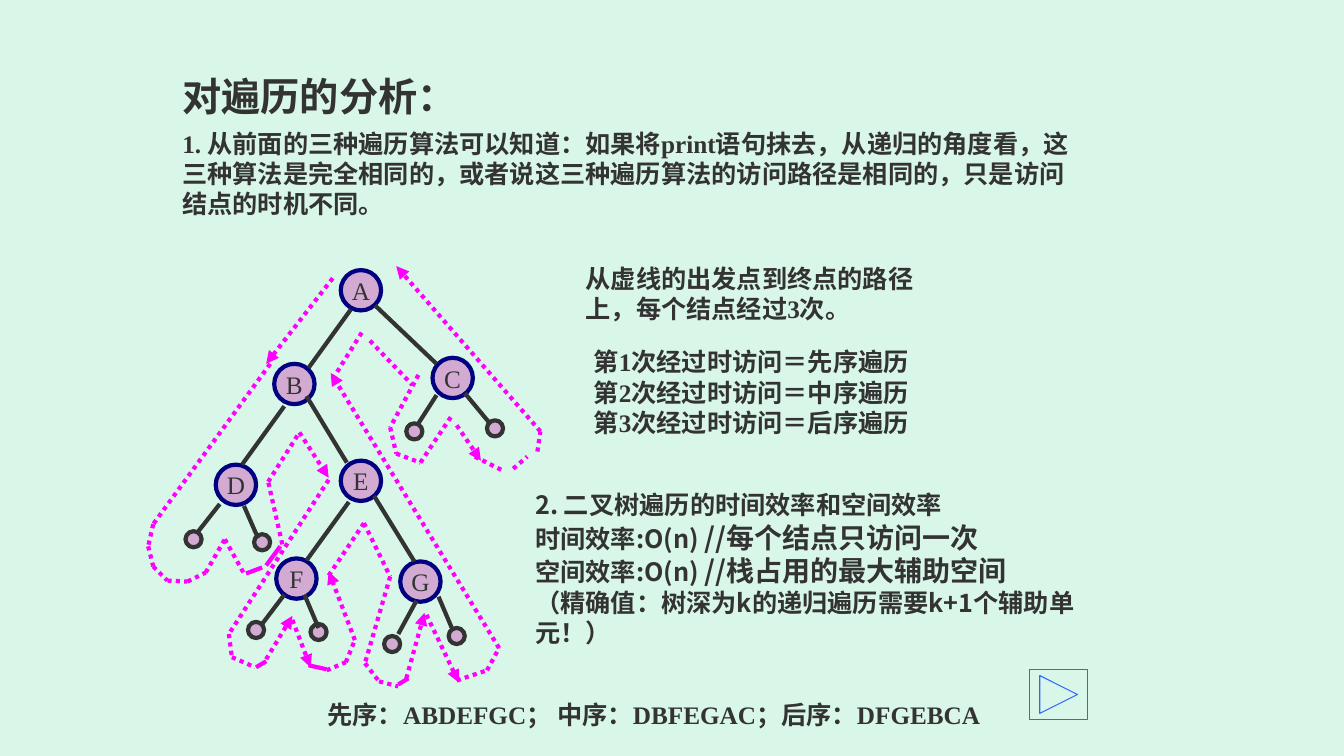
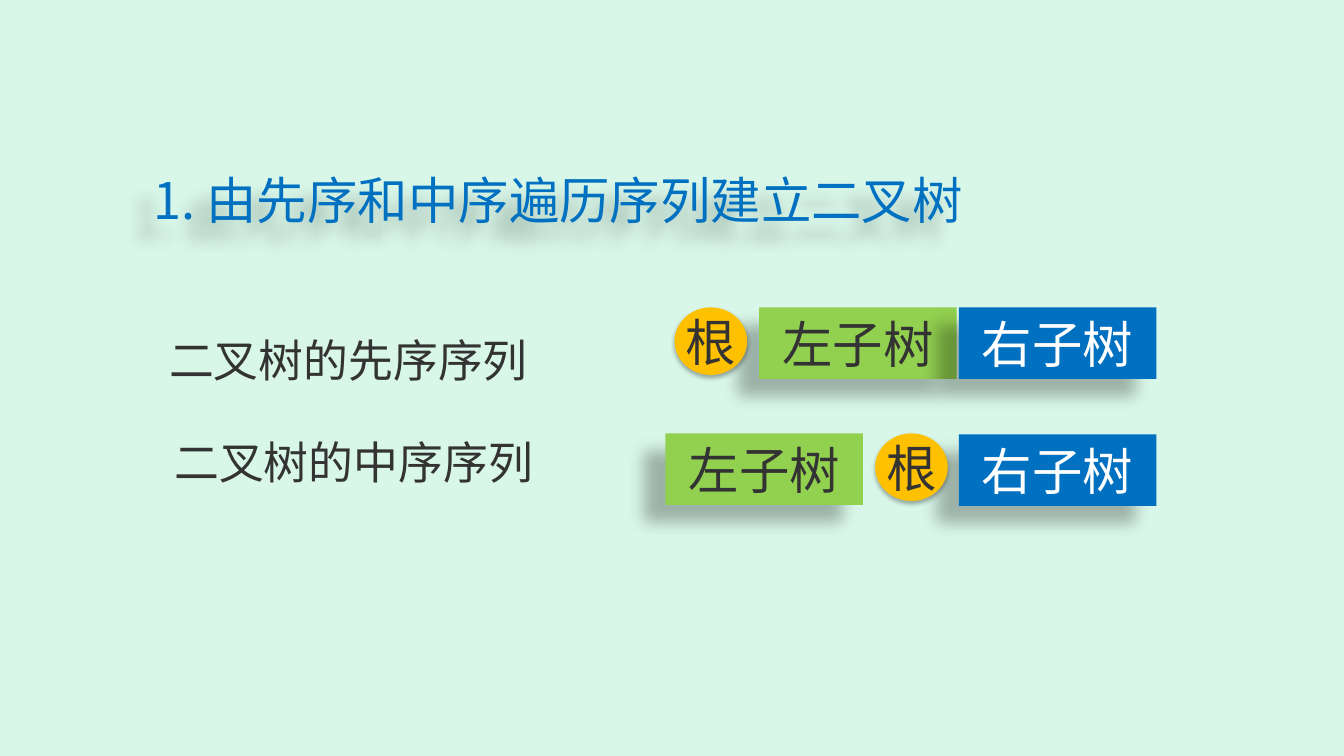
from dataclasses import dataclass
from itertools import pairwise

from lxml.etree import SubElement
from pptx import Presentation
from pptx.dml.color import RGBColor as RGB
from pptx.enum.dml import MSO_LINE
from pptx.enum.shapes import MSO_CONNECTOR, MSO_SHAPE
from pptx.enum.text import MSO_ANCHOR as ANCHOR, MSO_AUTO_SIZE, PP_ALIGN as ALIGN
from pptx.oxml.ns import qn
from pptx.util import Inches, Pt


@dataclass(frozen=True)
class Theme:
    background: RGB = RGB.from_string("D9F7E9")
    ink: RGB = RGB.from_string("333333")
    white: RGB = RGB.from_string("FFFFFF")
    blue: RGB = RGB.from_string("0070C0")
    green: RGB = RGB.from_string("92D050")
    amber: RGB = RGB.from_string("FFC000")
    node: RGB = RGB.from_string("D2AAD2")
    navy: RGB = RGB.from_string("000080")
    tour: RGB = RGB.from_string("FF00FF")
    button: RGB = RGB.from_string("3366FF")
    serif: str = "Times New Roman"
    sans: str = "Noto Sans CJK SC"
    body: int = 18
    emphasis: int = 20
    title: int = 28
    label: int = 32
    heading: int = 36


T = Theme()
# Blur and distance in points, direction in degrees, opacity in percent
LONG_SHADOW = (11.8, 19.7, 141, 28)
SHORT_SHADOW = (3.5, 2.2, 90, 32)


def write_text(sp, paragraphs, *, size=T.body, font=T.serif, color=T.ink, bold=False,
               align=ALIGN.LEFT, anchor=ANCHOR.TOP, wrap=True, inset=None, leading=1.2):
    """Fill a shape; a paragraph is a string or a list of (text, size) runs."""
    tf = sp.text_frame
    tf.auto_size, tf.word_wrap, tf.vertical_anchor = MSO_AUTO_SIZE.NONE, wrap, anchor
    if inset is not None:
        tf.margin_left = tf.margin_right = tf.margin_top = tf.margin_bottom = Inches(inset)
    for i, runs in enumerate(paragraphs):
        p = tf.add_paragraph() if i else tf.paragraphs[0]
        if isinstance(runs, str):
            runs = [(runs, size)]
        p.alignment, p.space_before = align, Pt(0)
        p.line_spacing = Pt(round(leading * max(s for _, s in runs), 1))
        for text, run_size in runs:
            r = p.add_run()
            r.text = text
            r.font.size, r.font.name, r.font.bold = Pt(run_size), font, bold
            r.font.color.rgb = color
            SubElement(r.font._element, qn("a:ea"), typeface=T.sans)


def set_shadow(sp, shadow=None):
    """Replace the theme's effects by one black shadow, or by none."""
    effects = SubElement(sp.element.spPr, qn("a:effectLst"))
    if shadow:
        blur, distance, angle, opacity = shadow
        outer = SubElement(effects, qn("a:outerShdw"), blurRad=str(Pt(blur)),
                           dist=str(Pt(distance)), dir=str(angle * 60000),
                           algn="ctr", rotWithShape="0")
        black = SubElement(outer, qn("a:srgbClr"), val="000000")
        SubElement(black, qn("a:alpha"), val=str(opacity * 1000))


prs = Presentation()
prs.slide_width, prs.slide_height = Inches(13.33), Inches(7.5)
fill = prs.slide_master.background.fill
fill.solid()
fill.fore_color.rgb = T.background

# Slide 1: analysis of the traversals
s = prs.slides.add_slide(prs.slide_layouts[5])
title = s.shapes.title
title.left, title.top, title.width, title.height = map(Inches, (1.71, 0.56, 8.5, 0.67))
write_text(title, ["对遍历的分析："], size=T.title, bold=True, anchor=ANCHOR.BOTTOM)

notes = [
    ((1.71, 1.22, 9.17, 1.01), T.serif, True, [
        "1. 从前面的三种遍历算法可以知道：如果将print语句抹去，从递归的角度看，"
        "这三种算法是完全相同的，或者说这三种遍历算法的访问路径是相同的，"
        "只是访问结点的时机不同。"]),
    ((5.71, 2.56, 3.51, 0.71), T.serif, False, [
        "从虚线的出发点到终点的路径", "上，每个结点经过3次。"]),
    ((5.79, 3.39, 4.67, 1.01), T.serif, True, [
        "第1次经过时访问＝先序遍历", "第2次经过时访问＝中序遍历",
        "第3次经过时访问＝后序遍历"]),
    ((5.21, 4.81, 5.92, 1.68), T.sans, True, [
        "2. 二叉树遍历的时间效率和空间效率",
        [("时间效率:O(n) ", T.body), ("//每个结点只访问一次", T.emphasis)],
        [("空间效率:O(n) ", T.body), ("//栈占用的最大辅助空间", T.emphasis)],
        "（精确值：树深为k的递归遍历需要k+1个辅助单元！）"]),
    ((3.15, 6.89, 9.17, 0.4), T.serif, True, [
        "先序：ABDEFGC； 中序：DBFEGAC；后序：DFGEBCA"]),
]
for box, font, wrap, paragraphs in notes:
    write_text(s.shapes.add_textbox(*map(Inches, box)), paragraphs,
               font=font, bold=True, wrap=wrap)

tree = s.shapes.add_group_shape().shapes
nodes = [("A", 3.38, 2.68), ("F", 2.74, 5.54), ("E", 3.38, 4.57), ("D", 2.14, 4.61),
         ("C", 4.29, 3.55), ("B", 2.72, 3.61), ("G", 3.97, 5.57)]
leaves = [("", 1.84, 5.27), ("", 2.52, 5.3), ("", 2.46, 6.17), ("", 3.08, 6.19),
          ("", 3.81, 6.31), ("", 4.45, 6.23), ("", 4.83, 4.17), ("", 4.03, 4.2)]
for name, x, y in nodes + leaves:
    diameter = 0.4 if name else 0.16
    sp = tree.add_shape(MSO_SHAPE.OVAL, *map(Inches, (x, y, diameter, diameter)))
    sp.fill.solid()
    sp.fill.fore_color.rgb = T.node
    sp.line.color.rgb = T.navy if name else T.ink
    sp.line.width = Pt(3)
    set_shadow(sp)
    if name:
        write_text(sp, [name], align=ALIGN.CENTER, anchor=ANCHOR.MIDDLE, wrap=False)

branches = [
    [(3.48, 3.07), (3.06, 3.65)], [(2.82, 4.03), (2.4, 4.61)], [(3.46, 4.98), (3.04, 5.56)],
    [(4.33, 3.92), (4.15, 4.2)], [(3.72, 3.03), (4.33, 3.61)], [(3.04, 3.93), (3.44, 4.59)],
    [(3.71, 4.92), (4.11, 5.57)], [(2.18, 5), (1.96, 5.28)], [(2.42, 5.02), (2.56, 5.34)],
    [(2.82, 5.9), (2.6, 6.19)], [(4.13, 5.96), (3.95, 6.29)], [(3.02, 5.9), (3.16, 6.23)],
    [(4.35, 5.92), (4.49, 6.25)], [(4.61, 3.9), (4.85, 4.19)],
]
solid_turns = [
    [(2.44, 5.69), (2.6, 5.63)], [(2.64, 5.61), (2.78, 5.42)], [(2.54, 6.62), (2.64, 6.56)],
    [(3.06, 6.6), (3.24, 6.64)], [(3.95, 6.79), (4.05, 6.73)],
]
dotted_legs = [
    [(2.68, 3.61), (1.52, 5.2), (1.47, 5.42), (1.52, 5.62), (1.66, 5.76), (1.86, 5.77),
     (2.04, 5.68), (2.23, 5.35), (2.42, 5.69)],
    [(3.26, 4.76), (2.27, 6.29), (2.3, 6.52), (2.53, 6.62)],
    [(3.26, 5.71), (3.61, 5.19), (3.87, 5.72), (3.62, 6.58), (3.76, 6.76), (3.95, 6.81)],
    [(3.3, 3.76), (3.6, 3.28)],
    [(3.67, 3.38), (4.09, 3.82)],
    [(4.15, 3.72), (3.87, 4.24), (3.93, 4.5), (4.17, 4.59), (4.49, 4.11)],
    [(4.71, 4.53), (4.99, 4.67)],
    [(5.09, 4.65), (5.23, 4.53)],
]
arrow_legs = [
    [(3.3, 2.76), (2.64, 3.61)],
    [(2.8, 5.4), (2.66, 4.78), (2.97, 4.29), (3.26, 4.74)],
    [(2.64, 6.54), (2.9, 6.11)],
    [(2.9, 6.15), (3.08, 6.62)],
    [(3.24, 6.65), (3.43, 6.57), (3.52, 6.35), (3.26, 5.67)],
    [(4.03, 6.73), (4.21, 6.08)],
    [(4.23, 6.1), (4.55, 6.77)],
    [(4.53, 6.75), (4.83, 6.65), (4.95, 6.43), (3.28, 3.7)],
    [(4.53, 4.22), (4.77, 4.57)],
    [(5.33, 4.48), (5.36, 4.28), (3.93, 2.64)],
]
line_sets = [(branches, T.ink, False, False), (solid_turns, T.tour, False, False),
             (dotted_legs, T.tour, True, False), (arrow_legs, T.tour, True, True)]
for legs, color, dotted, arrow in line_sets:
    for points in legs:
        for start, end in pairwise(points):
            line = tree.add_connector(MSO_CONNECTOR.STRAIGHT, *map(Inches, start + end))
            line.line.color.rgb = color
            line.line.width = Pt(3)
            if dotted:
                line.line.dash_style = MSO_LINE.ROUND_DOT
            set_shadow(line)
        if arrow:
            SubElement(line.element.spPr.find(qn("a:ln")), qn("a:tailEnd"), type="triangle")

button = s.shapes.add_shape(MSO_SHAPE.ACTION_BUTTON_FORWARD_OR_NEXT,
                            *map(Inches, (10.21, 6.64, 0.58, 0.5)))
button.fill.background()
button.line.color.rgb = T.button
button.line.width = Pt(0.75)
set_shadow(button)

# Slide 2: building the tree from two sequences
s = prs.slides.add_slide(prs.slide_layouts[1])
s.shapes.title.element.getparent().remove(s.shapes.title.element)
heading = s.placeholders[1]
heading.left, heading.top, heading.width, heading.height = map(Inches, (1.23, 1.62, 8.66, 0.71))
write_text(heading, ["1. 由先序和中序遍历序列建立二叉树"], size=T.heading, font=T.sans,
           color=T.blue, anchor=ANCHOR.MIDDLE)
pPr = heading.text_frame.paragraphs[0]._p.get_or_add_pPr()
pPr.set("marL", str(Inches(0.19)))
pPr.set("indent", "0")
SubElement(pPr, qn("a:buNone"))
set_shadow(heading, LONG_SHADOW)

for text, x, y in [("二叉树的先序序列", 1.58, 3.2), ("二叉树的中序序列", 1.63, 4.21)]:
    label = s.shapes.add_textbox(*map(Inches, (x, y, 4, 0.69)))
    write_text(label, [text], size=T.label, font=T.sans, leading=1.32)

kinds = {
    "左子树": (MSO_SHAPE.RECTANGLE, 1.96, 0.71, T.green, T.ink, LONG_SHADOW),
    "右子树": (MSO_SHAPE.RECTANGLE, 1.96, 0.71, T.blue, T.white, LONG_SHADOW),
    "根": (MSO_SHAPE.OVAL, 0.72, 0.67, T.amber, T.ink, SHORT_SHADOW),
}
parts = [("左子树", 6.6, 4.3), ("左子树", 7.53, 3.05), ("右子树", 9.51, 3.05),
         ("右子树", 9.51, 4.31), ("根", 6.69, 3.05), ("根", 8.68, 4.3)]
for text, x, y in parts:
    preset, width, height, color, text_color, shadow = kinds[text]
    sp = s.shapes.add_shape(preset, *map(Inches, (x, y, width, height)))
    sp.fill.solid()
    sp.fill.fore_color.rgb = color
    sp.line.fill.background()
    set_shadow(sp, shadow)
    write_text(sp, [text], size=T.heading, font=T.sans, color=text_color,
               align=ALIGN.CENTER, anchor=ANCHOR.MIDDLE, wrap=False, inset=0)

prs.save("out.pptx")
